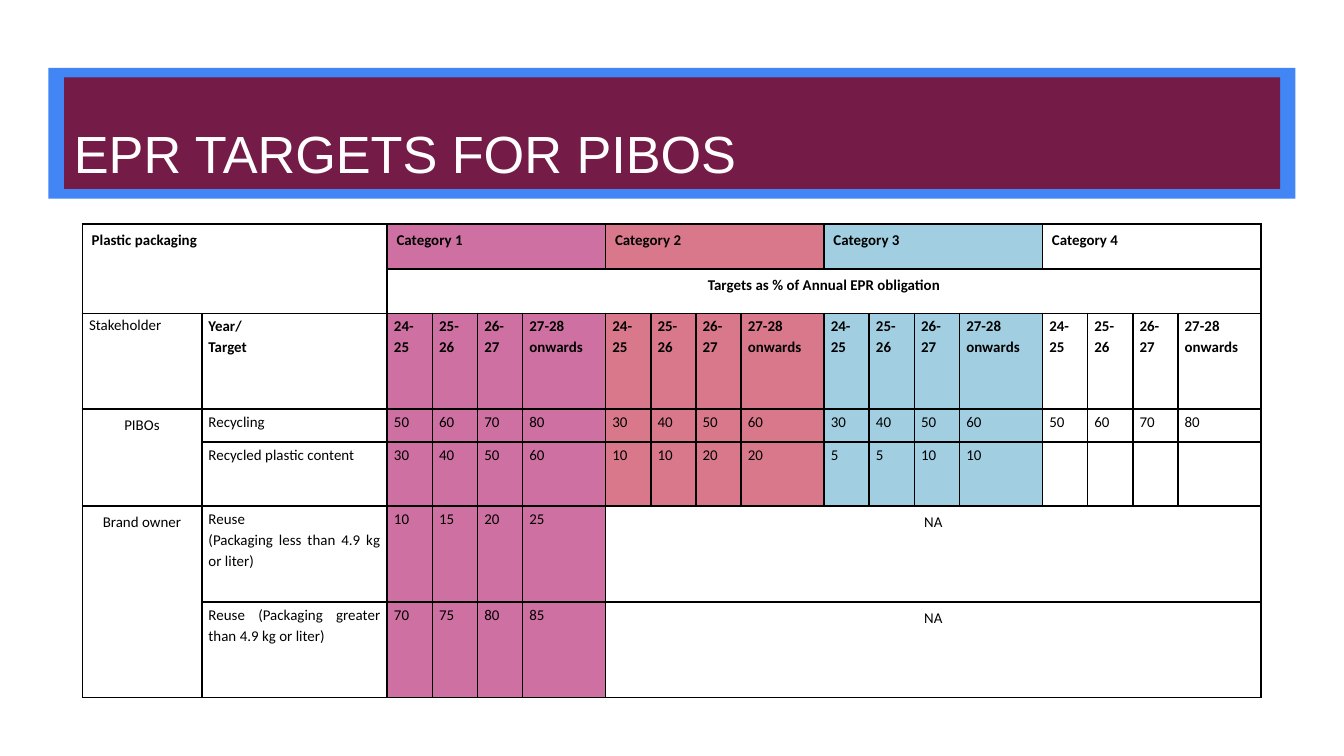
from lxml import etree
from pptx import Presentation
from pptx.dml.color import RGBColor
from pptx.enum import shapes, text
from pptx.oxml.ns import qn
from pptx.util import Pt

BLUE = RGBColor(0x42, 0x85, 0xF4)
WINE = RGBColor(0x74, 0x1B, 0x47)
TITLE_WHITE = RGBColor(0xFF, 0xFE, 0xFF)
BLACK = RGBColor(0, 0, 0)
PINK = RGBColor(0xCE, 0x70, 0xA1)
ROSE = RGBColor(0xDA, 0x78, 0x8B)
SKY = RGBColor(0xA1, 0xCF, 0xE1)
CATEGORY_FILLS = [PINK, ROSE, SKY, None]
LEFT, CENTER, JUSTIFY = (text.PP_ALIGN.LEFT, text.PP_ALIGN.CENTER,
                         text.PP_ALIGN.JUSTIFY)
WIDE_MARGINS = {"margin_left": Pt(5), "margin_right": Pt(5),
                "margin_top": Pt(2.5), "margin_bottom": Pt(2.5)}
TIGHT_MARGINS = {"margin_left": Pt(3.6), "margin_right": Pt(3.6),
                 "margin_top": Pt(0.6), "margin_bottom": Pt(0)}


def add_borders(cell):
    properties = cell._tc.get_or_add_tcPr()
    for position, side in enumerate(("lnL", "lnR", "lnT", "lnB")):
        line = etree.Element(qn(f"a:{side}"), w=str(Pt(1)))
        fill = etree.SubElement(line, qn("a:solidFill"))
        etree.SubElement(fill, qn("a:srgbClr"), val=str(BLACK))
        properties.insert(position, line)


def write_cell(cell, words, bold=False, align=JUSTIFY, margins=TIGHT_MARGINS,
               spacing=1.15):
    for name, value in margins.items():
        setattr(cell, name, value)
    cell.text_frame.text = words
    for paragraph in cell.text_frame.paragraphs:
        paragraph.alignment = align
        paragraph.line_spacing = spacing
        for name, value in {"size": Pt(8), "name": "Calibri", "bold": bold}.items():
            setattr(paragraph.font, name, value)
        paragraph.font.color.rgb = BLACK


presentation = Presentation()
presentation.slide_width, presentation.slide_height = Pt(720), Pt(405)
slide = presentation.slides.add_slide(presentation.slide_layouts[5])

# Blue frame behind the title
frame = slide.shapes.add_shape(shapes.MSO_SHAPE.RECTANGLE,
                               Pt(26), Pt(36.4), Pt(668), Pt(70))
frame.shadow.inherit = False
frame.fill.solid()
frame.fill.fore_color.rgb = BLUE
frame.line.fill.background()
slide.shapes._spTree.insert(2, frame._element)

# Title
title = slide.shapes.title
for name, value in {"left": 34.4, "top": 41.4, "width": 651.4, "height": 59.8}.items():
    setattr(title, name, Pt(value))
title.fill.solid()
title.fill.fore_color.rgb = WINE
title_format = {"margin_left": Pt(5.2), "margin_right": Pt(5.2),
                "margin_top": Pt(2.6), "margin_bottom": Pt(2.6),
                "vertical_anchor": text.MSO_ANCHOR.BOTTOM,
                "auto_size": text.MSO_AUTO_SIZE.NONE, "word_wrap": True}
for name, value in title_format.items():
    setattr(title.text_frame, name, value)
title.text_frame.text = "EPR TARGETS FOR PIBOS"
heading = title.text_frame.paragraphs[0]
heading.alignment = LEFT
heading.font.size, heading.font.name = Pt(28), "Arial"
heading.font.color.rgb = TITLE_WHITE

# Table grid: two label columns, then four years for each category
widths = [64, 99.4] + [24.2, 24.2, 24.2, 44.5] * 4
heights = [24, 24, 51.2, 17.7, 34.3, 51.4, 51.2]
targets = slide.shapes.add_table(len(heights), len(widths), Pt(44.1), Pt(120),
                                 Pt(sum(widths)), Pt(sum(heights))).table
targets.first_row = targets.horz_banding = False
for column, width in zip(targets.columns, widths):
    column.width = Pt(width)
for row, height in zip(targets.rows, heights):
    row.height = Pt(height)

# Category colours and borders
for row in range(len(heights)):
    for column in range(len(widths)):
        cell = targets.cell(row, column)
        shade = CATEGORY_FILLS[(column - 2) // 4] if column > 1 and row != 1 else None
        if row > 4 and column > 5:
            shade = None
        if shade is None:
            cell.fill.background()
        else:
            cell.fill.solid()
            cell.fill.fore_color.rgb = shade
        add_borders(cell)

# Merged cells: first row and column, last row and column, words, bold, alignment
merged = [(0, 0, 1, 1, "Plastic packaging", True, JUSTIFY),
          (1, 2, 1, 17, "Targets as % of Annual EPR obligation", True, CENTER),
          (3, 0, 4, 0, "PIBOs", False, CENTER),
          (5, 0, 6, 0, "Brand owner", False, CENTER),
          (5, 6, 5, 17, "NA", False, CENTER),
          (6, 6, 6, 17, "NA", False, CENTER)]
for category in range(4):
    first = 2 + 4 * category
    merged.append((0, first, 0, first + 3, f"Category {category + 1}", True, JUSTIFY))
for top, left, bottom, right, words, bold, align in merged:
    targets.cell(top, left).merge(targets.cell(bottom, right))
    write_cell(targets.cell(top, left), words, bold, align, WIDE_MARGINS)

# Year headings and target values
write_cell(targets.cell(2, 0), "Stakeholder", align=LEFT, spacing=1.07)
years = ["24-25", "25-26", "26-27", "27-28 onwards"]
body_rows = [
    ["Year/\nTarget"] + years * 4,
    ["Recycling", 50, 60, 70, 80, 30, 40, 50, 60, 30, 40, 50, 60, 50, 60, 70, 80],
    ["Recycled plastic content", 30, 40, 50, 60, 10, 10, 20, 20, 5, 5, 10, 10],
    ["Reuse\n(Packaging less than 4.9 kg or liter)", 10, 15, 20, 25],
    ["Reuse (Packaging greater than 4.9 kg or liter)", 70, 75, 80, 85],
]
for row, entries in enumerate(body_rows, start=2):
    for column, entry in enumerate(entries, start=1):
        write_cell(targets.cell(row, column), str(entry), bold=row == 2)

presentation.save("out.pptx")
